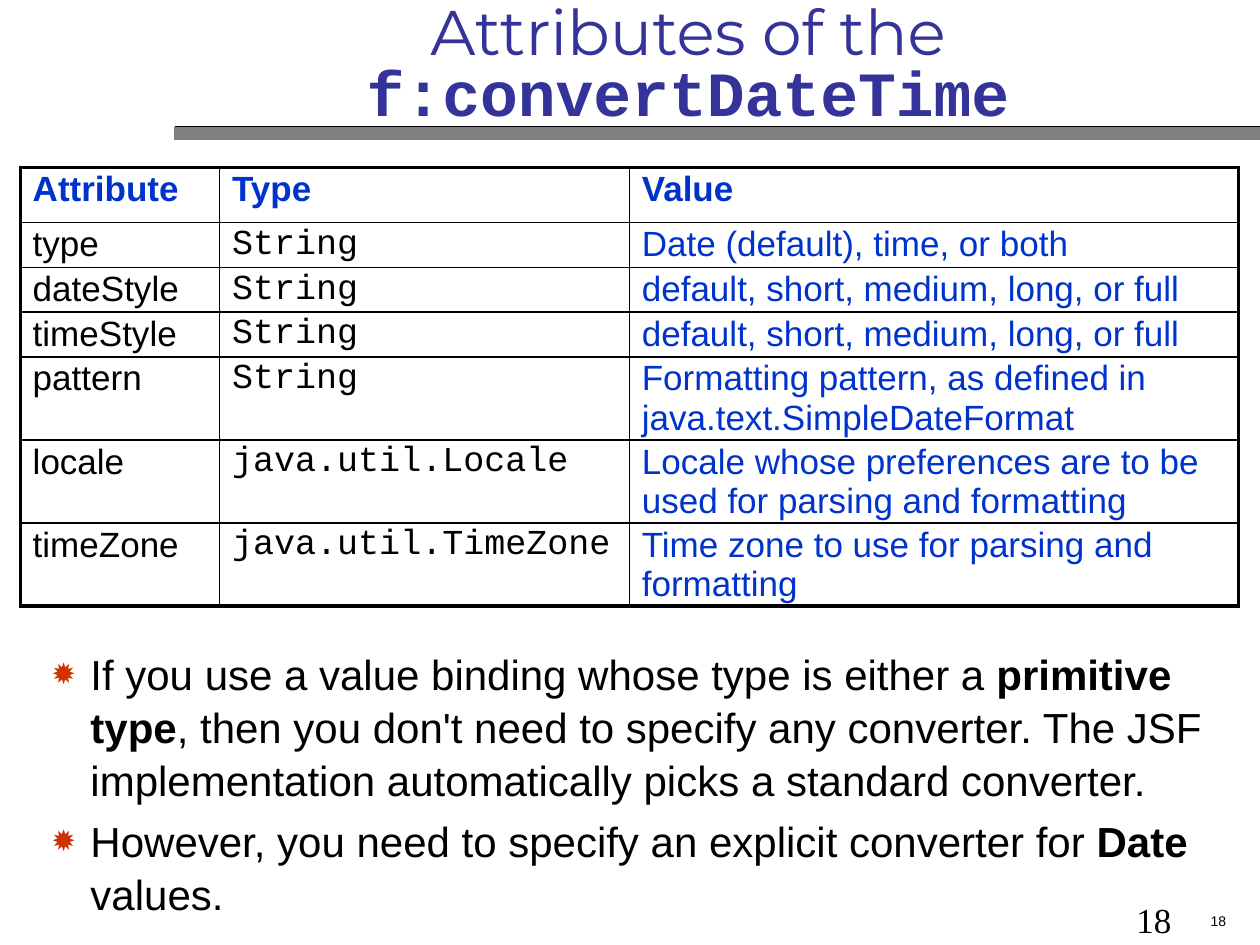
import pptx
import pptx.util
import pptx.dml.color
import pptx.enum.text
import pptx.enum.shapes
import pptx.oxml
import pptx.oxml.ns
import lxml.etree

Cm, Pt = pptx.util.Cm, pptx.util.Pt
qn = pptx.oxml.ns.qn
ALIGN, ANCHOR = pptx.enum.text.PP_ALIGN, pptx.enum.text.MSO_ANCHOR


class Theme:
    black, blue, navy = "000000", "0033CC", "333399"
    grey, red = "808080", "CC3300"
    sans, mono, head, serif = "Arial", "Courier New", "Montserrat", "Times New Roman"
    title, body, cell, page, small = 36, 24, 20, 20, 8
    thin, thick = 1, 2.25


def add_run(para, text, size, name, color, bold=False):
    run = para.add_run()
    run.text = text
    for key, value in {"size": Pt(size), "name": name, "bold": bold}.items():
        setattr(run.font, key, value)
    run.font.color.rgb = pptx.dml.color.RGBColor.from_string(color)


def add_node(root, tag, **values):
    node = lxml.etree.SubElement(root, qn(tag))
    for key, value in values.items():
        node.set(key, str(value))
    return node


deck = pptx.Presentation()
deck.slide_width, deck.slide_height = Cm(25.4), Cm(19.05)
slide = deck.slides.add_slide(deck.slide_layouts[1])
title, body = slide.placeholders[0], slide.placeholders[1]

# Rule under the title, with its hard black shadow
rule = slide.shapes.add_connector(
    pptx.enum.shapes.MSO_CONNECTOR.STRAIGHT, Cm(3.5), Cm(2.69), Cm(25.4), Cm(2.69))
rule.line.width = Pt(7)
rule.line.color.rgb = pptx.dml.color.RGBColor.from_string(Theme.grey)
effect = add_node(rule._element.spPr, "a:effectLst")
shade = add_node(effect, "a:outerShdw", dist=Pt(1.4), dir=315 * 60000, algn="ctr", rotWithShape=0)
add_node(shade, "a:srgbClr", val=Theme.black)

# Title and body frames
for shape, box, anchor in (
    (title, (2.34, 0.2, 23.06, 2.34), ANCHOR.MIDDLE),
    (body, (0, 12.9, 24.77, 5.08), ANCHOR.TOP),
):
    for key, value in zip(("left", "top", "width", "height"), box):
        setattr(shape, key, Cm(value))
    form = {"word_wrap": True, "auto_size": pptx.enum.text.MSO_AUTO_SIZE.NONE,
            "vertical_anchor": anchor}
    for key, value in form.items():
        setattr(shape.text_frame, key, value)

para = title.text_frame.paragraphs[0]
para.alignment, para.line_spacing = ALIGN.CENTER, 0.8
add_run(para, "Attributes of the ", Theme.title, Theme.head, Theme.navy)
add_run(para, "f:convertDateTime", Theme.title, Theme.mono, Theme.navy, True)

# Table of attributes
rows = [
    ("Attribute", "Type", "Value"),
    ("type", "String", "Date (default), time, or both"),
    ("dateStyle", "String", "default, short, medium, long, or full"),
    ("timeStyle", "String", "default, short, medium, long, or full"),
    ("pattern", "String", "Formatting pattern, as defined in java.text.SimpleDateFormat"),
    ("locale", "java.util.Locale", "Locale whose preferences are to be used for parsing and formatting"),
    ("timeZone", "java.util.TimeZone", "Time zone to use for parsing and formatting"),
]
widths = [4.02, 8.26, 12.28]
heights = [1.11] + [0.87] * 3 + [1.63] * 3
looks = [(Theme.sans, Theme.black), (Theme.mono, Theme.black), (Theme.sans, Theme.blue)]
table = slide.shapes.add_table(
    len(rows), len(widths), Cm(0.41), Cm(3.38), Cm(sum(widths)), Cm(sum(heights))).table
table.first_row = table.horz_banding = False
for col, width in zip(table.columns, widths):
    col.width = Cm(width)
for r, (row, height) in enumerate(zip(rows, heights)):
    table.rows[r].height = Cm(height)
    for c, text in enumerate(row):
        cell = table.cell(r, c)
        form = {"margin_left": Cm(0.25), "margin_right": Cm(0.25),
                "margin_top": Cm(0.05), "margin_bottom": Cm(0.05)}
        for key, value in form.items():
            setattr(cell, key, value)
        name, color = (Theme.sans, Theme.blue) if r == 0 else looks[c]
        add_run(cell.text_frame.paragraphs[0], text, Theme.cell, name, color, r == 0)
        # Thick lines on the outer edge, thin lines inside
        edges = {"L": c == 0, "R": c == len(widths) - 1, "T": r == 0, "B": r == len(rows) - 1}
        for side, outer in edges.items():
            line = add_node(cell._tc.get_or_add_tcPr(), "a:ln" + side,
                            w=Pt(Theme.thick if outer else Theme.thin))
            add_node(add_node(line, "a:solidFill"), "a:srgbClr", val=Theme.black)
        cell.fill.background()

# Bulleted notes, as (text, bold) parts
notes = [
    [("If you use a value binding whose type is either a ", False), ("primitive type", True),
     (", then you don't need to specify any converter. The JSF implementation "
      "automatically picks a standard converter.", False)],
    [("However, you need to specify an explicit converter for ", False), ("Date", True),
     (" values.", False)],
]
for i, parts in enumerate(notes):
    para = body.text_frame.add_paragraph() if i else body.text_frame.paragraphs[0]
    para.space_before, para.line_spacing = Pt(4.8), 1.05
    props = para._p.get_or_add_pPr()
    props.set("marL", str(Cm(1.57)))
    props.set("indent", str(-Cm(0.79)))
    add_node(add_node(props, "a:buClr"), "a:srgbClr", val=Theme.red)
    add_node(props, "a:buSzPct", val=70000)
    add_node(props, "a:buChar", char="✹")
    for text, bold in parts:
        add_run(para, text, Theme.body, Theme.sans, Theme.black, bold)

# Page numbers
for box, size, name, align, anchor in (
    ((22.66, 17.98, 2.34, 1.07), Theme.page, Theme.serif, ALIGN.LEFT, ANCHOR.TOP),
    ((19.69, 18.21, 5.28, 0.64), Theme.small, Theme.sans, ALIGN.RIGHT, ANCHOR.BOTTOM),
):
    frame = slide.shapes.add_textbox(*map(Cm, box)).text_frame
    frame.word_wrap, frame.vertical_anchor = True, anchor
    frame.paragraphs[0].alignment = align
    add_run(frame.paragraphs[0], "18", size, name, Theme.black)

deck.save("out.pptx")
